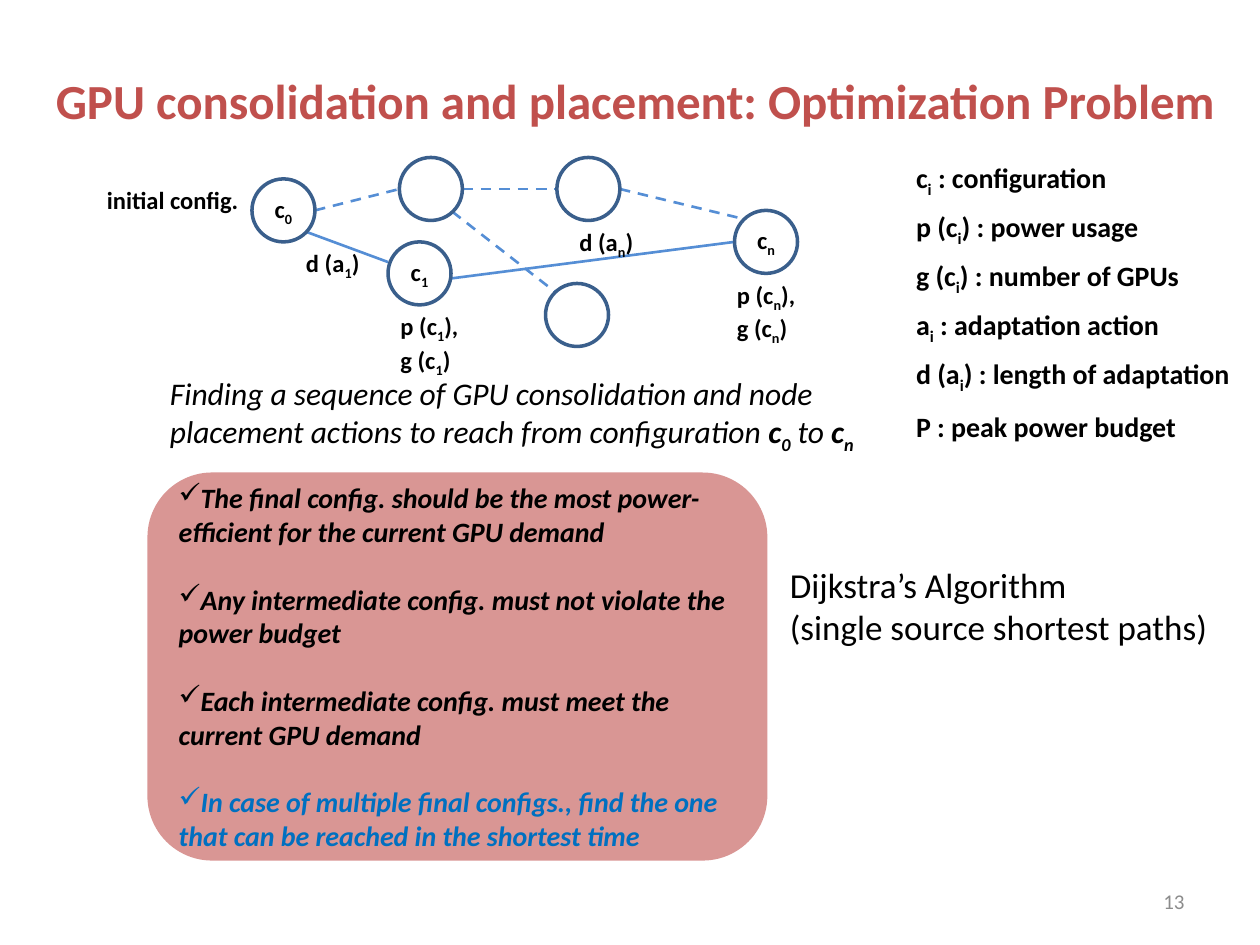
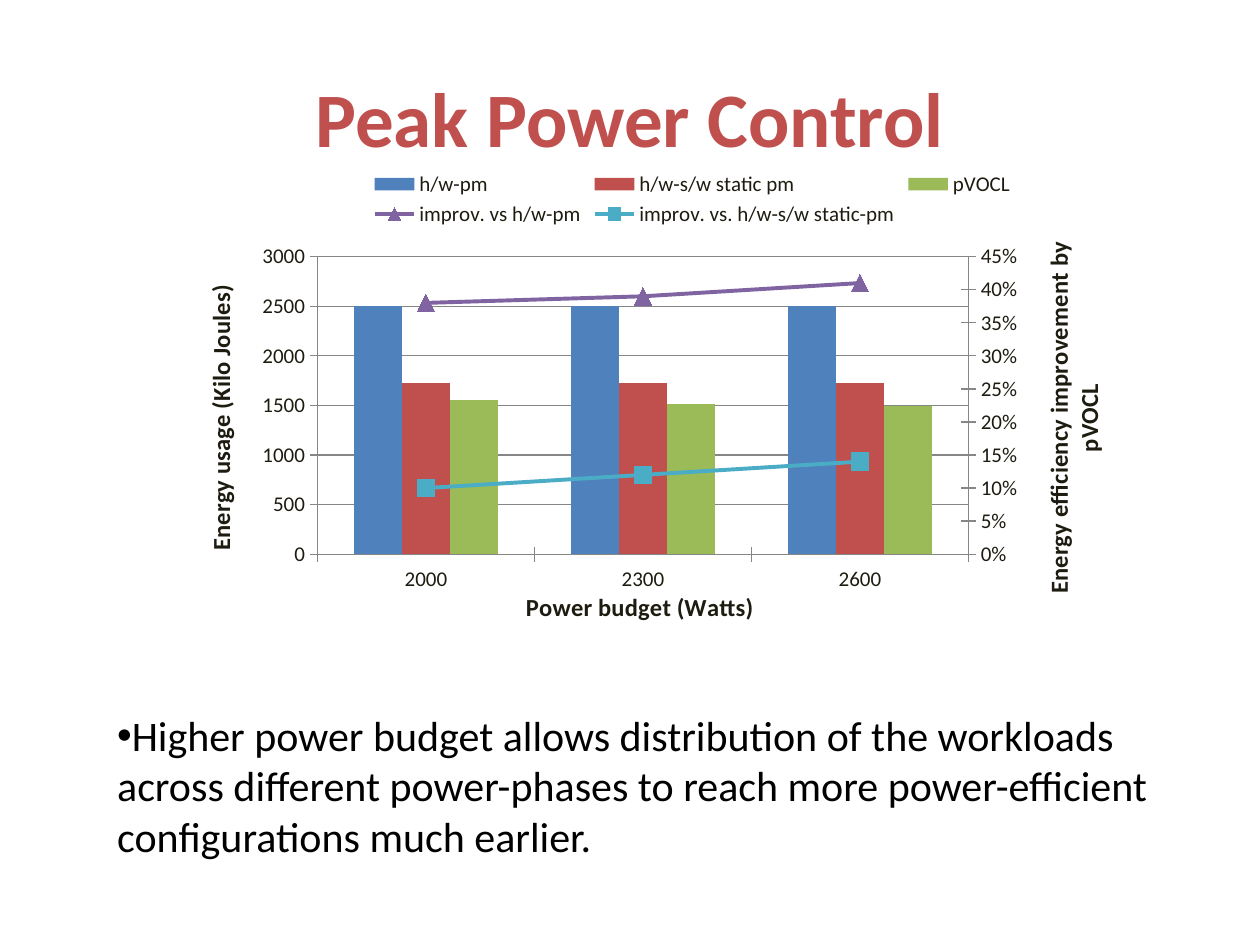
from copy import deepcopy
from dataclasses import dataclass

from lxml import etree
from pptx import Presentation
from pptx import util as u
from pptx.chart import axis as ax
from pptx.chart import data as cd
from pptx.dml.color import RGBColor
from pptx.enum import chart as ec
from pptx.enum import dml, shapes, text
from pptx.oxml import parse_xml
from pptx.oxml.ns import nsdecls, qn


# Theme
@dataclass(frozen=True)
class Theme:
    font: str = "Calibri"
    head: str = "C0504D"
    ink: str = "000000"
    ring: str = "3A5F8C"
    link: str = "558ED5"
    panel: str = "D99694"
    blue: str = "0070C0"
    gray: str = "8C8C8C"
    axis: str = "1E1C11"
    grid: str = "868686"
    tiny: int = 12
    small: int = 14
    mid: int = 16
    goal: int = 18
    note: int = 20
    body: int = 24


T = Theme()
MID, CENTER = text.MSO_ANCHOR.MIDDLE, text.PP_ALIGN.CENTER

# Content: "~" wraps a subscript, "*" wraps bold
TITLES = [
    ("GPU consolidation and placement: Optimization Problem", 28, (0.25, 0.42, 9.58, 0.75)),
    ("Peak Power Control", 44, (0.5, 0.3, 9, 1.25)),
]
NODES = [
    ("c~0~", 2, 1.42), ("", 3.17, 1.25), ("c~1~", 3.08, 1.92),
    ("", 4.33, 2.25), ("", 4.42, 1.25), ("c~n~", 5.83, 1.67),
]
DASHED = [  # start, end
    ((2.5, 1.67), (3.17, 1.5)), ((3.67, 1.5), (4.42, 1.5)),
    ((4.92, 1.5), (5.91, 1.74)), ((3.59, 1.68), (4.41, 2.32)),
]
SOLID = [((2.43, 1.84), (3.08, 2.08)), ((3.58, 2.21), (5.83, 1.92))]
LABELS = [
    (["initial config."], (0.75, 1.42, 1.33, 0.34)),
    (["d (a~1~)"], (2.33, 1.92, 0.75, 0.34)),
    (["d (a~n~)"], (4.5, 1.75, 0.75, 0.34)),
    (["p (c~1~),", "g (c~1~)"], (3.08, 2.42, 0.83, 0.57)),
    (["p (c~n~),", "g (c~n~)"], (5.75, 2.17, 0.83, 0.57)),
]
TERMS = [
    "c~i~ : configuration", "p (c~i~) : power usage", "g (c~i~) : number of GPUs",
    "a~i~ : adaptation action", "d (a~i~) : length of adaptation", "P : peak power budget",
]
GOAL = ("Finding a sequence of GPU consolidation and node placement actions "
        "to reach from configuration *c~0~* to *c~n~*")
RULES = [
    "The final config. should be the most power-efficient for the current GPU demand",
    "Any intermediate config. must not violate the power budget",
    "Each intermediate config. must meet the current GPU demand",
    "In case of multiple final configs., find the one that can be reached in the shortest time",
]
METHOD = ["Dijkstra’s Algorithm", "(single source shortest paths)"]
FINDING = ("Higher power budget allows distribution of the workloads across different "
           "power-phases to reach more power-efficient configurations much earlier.")
BUDGETS = ["2000", "2300", "2600"]
BARS = [
    ("h/w-pm", (2500, 2500, 2500), "4F81BD"),
    ("h/w-s/w static pm", (1730, 1730, 1730), "C0504D"),
    ("pVOCL", (1550, 1510, 1490), "9BBB59"),
]
GAINS = [
    ("improv. vs h/w-pm", (0.38, 0.39, 0.41), "8064A2", ec.XL_MARKER_STYLE.TRIANGLE),
    ("improv. vs. h/w-s/w static-pm", (0.1, 0.12, 0.14), "4BACC6", ec.XL_MARKER_STYLE.SQUARE),
]
AXES = {"cat": "Power budget (Watts)", "left": "Energy usage (Kilo Joules)",
        "right": "Energy efficiency improvement by pVOCL"}
FRAME = {"x": 0.12, "y": 0.21, "w": 0.66, "h": 0.63}


# Helpers
def rgb(tone):
    return RGBColor.from_string(tone)


def apply(obj, **fmt):
    for key, val in fmt.items():
        setattr(obj, key, val)


def inch(*nums):
    return [u.Inches(n) for n in nums]


def place(shape, spot):
    apply(shape, **dict(zip(("left", "top", "width", "height"), inch(*spot))))


def ink(font, size, tone=T.ink, **fmt):
    apply(font, name=T.font, size=u.Pt(size), **fmt)
    font.color.rgb = rgb(tone)


def paint(fill, tone):
    fill.solid()
    fill.fore_color.rgb = rgb(tone)


def stroke(line, tone, width):
    line.color.rgb = rgb(tone)
    line.width = u.Pt(width)


def write(para, line, size, tone=T.ink, bold=False, italic=False):
    for i, span in enumerate(line.split("*")):
        for j, part in enumerate(span.split("~")):
            if part:
                run = para.add_run()
                run.text = part
                ink(run.font, size, tone, bold=bold or i % 2 == 1, italic=italic)
                if j % 2:
                    run.font._element.set("baseline", "-25000")


def fill(shape, lines, size, bullet=None, gap=0, lead=None, tones=None,
         align=text.PP_ALIGN.LEFT, anchor=text.MSO_ANCHOR.TOP, **fmt):
    frame = shape.text_frame
    apply(frame, word_wrap=True, auto_size=text.MSO_AUTO_SIZE.NONE, vertical_anchor=anchor)
    for i, line in enumerate(lines):
        para = frame.add_paragraph() if i else frame.paragraphs[0]
        props = para._p.get_or_add_pPr()
        props.set("marL", "0")
        props.set("indent", "0")
        mark = etree.SubElement(props, qn("a:buChar" if bullet else "a:buNone"))
        if bullet:
            mark.set("char", bullet)
        apply(para, alignment=align, space_before=u.Pt(gap if i else 0), space_after=u.Pt(0),
              line_spacing=u.Pt(lead) if lead else 1.0)
        write(para, line, size, tones[i] if tones else T.ink, **fmt)


def box(slide, lines, spot, size, **fmt):
    fill(slide.shapes.add_textbox(*inch(*spot)), lines, size, **fmt)


def start(deck, title):
    line, size, spot = title
    slide = deck.slides.add_slide(deck.slide_layouts[1])
    place(slide.shapes.title, spot)
    fill(slide.shapes.title, [line], size, tones=[T.head], bold=True, align=CENTER, anchor=MID)
    return slide, slide.placeholders[1]


# Slide 1: graph of configurations
def draw_link(slide, head, tail, dash):
    link = slide.shapes.add_connector(shapes.MSO_CONNECTOR.STRAIGHT, *inch(*head, *tail))
    stroke(link.line, T.link, 1.5)
    link.line.dash_style = dash
    etree.SubElement(link._element.spPr, qn("a:effectLst"))


def draw_node(slide, name, left, top):
    ring = slide.shapes.add_shape(shapes.MSO_SHAPE.OVAL, *inch(left, top, 0.5, 0.5))
    ring.shadow.inherit = False
    ring.fill.background()
    stroke(ring.line, T.ring, 2)
    if name:
        apply(ring.text_frame, margin_left=0, margin_right=0, margin_top=0, margin_bottom=0)
        fill(ring, [name], T.small, bold=True, align=CENTER, anchor=MID)


def build_graph(deck):
    slide, body = start(deck, TITLES[0])
    for links, dash in ((DASHED, dml.MSO_LINE.DASH), (SOLID, dml.MSO_LINE.SOLID)):
        for head, tail in links:
            draw_link(slide, head, tail, dash)
    for node in NODES:
        draw_node(slide, *node)
    for lines, spot in LABELS:
        box(slide, lines, spot, T.small, bold=True)
    place(body, (7.17, 1.33, 2.83, 2.53))
    fill(body, TERMS, T.mid, lead=14, gap=14, bold=True)
    box(slide, [GOAL], (1.25, 2.92, 5.75, 0.75), T.goal, italic=True)

    # Rules panel
    panel = slide.shapes.add_shape(shapes.MSO_SHAPE.FLOWCHART_ALTERNATE_PROCESS,
                                   *inch(1.17, 3.75, 4.92, 3.08))
    panel.shadow.inherit = False
    paint(panel.fill, T.panel)
    panel.line.fill.background()
    fill(panel, RULES, T.mid, bullet="✓", gap=19.5, tones=[T.ink] * 3 + [T.blue],
         bold=True, italic=True, anchor=MID)
    box(slide, METHOD, (6.17, 4.42, 3.58, 0.78), T.note)
    box(slide, ["13"], (7.17, 6.95, 2.33, 0.4), T.tiny, tones=[T.gray],
        align=text.PP_ALIGN.RIGHT, anchor=MID)


# Slide 2: bars with lines on a second axis
def dress(axis, name):
    axis.axis_title.text_frame.text = name
    ink(axis.axis_title.text_frame.paragraphs[0].runs[0].font, T.small, T.axis, bold=True)
    axis.major_tick_mark = ec.XL_TICK_MARK.CROSS
    axis.format.line.color.rgb = rgb(T.grid)


def drop(part, tag):
    for item in part.findall(qn(tag)):
        part.remove(item)


def split_gains(plot):
    bars, cat, val = (plot.find(qn("c:" + tag)) for tag in ("barChart", "catAx", "valAx"))
    lines = parse_xml(f'<c:lineChart {nsdecls("c")}><c:grouping val="standard"/>'
                      '<c:varyColors val="0"/><c:marker val="1"/>'
                      '<c:axId val="501"/><c:axId val="502"/></c:lineChart>')
    for ser in bars.findall(qn("c:ser"))[len(BARS):]:
        drop(ser, "c:invertIfNegative")
        lines.find(qn("c:marker")).addprevious(ser)
    bars.addnext(lines)
    right, base = deepcopy(val), deepcopy(cat)
    val.addnext(right)
    right.addnext(base)
    drop(base, "c:title")
    for axis, marks in ((right, {"axId": "502", "crossAx": "501", "axPos": "r", "crosses": "max"}),
                        (base, {"axId": "501", "crossAx": "502", "delete": "1"})):
        for tag, mark in marks.items():
            axis.find(qn("c:" + tag)).set("val", mark)
    return ax.ValueAxis(right)


def build_chart(deck):
    slide, body = start(deck, TITLES[1])
    data = cd.CategoryChartData()
    data.categories = BUDGETS
    for name, vals, *_ in BARS + GAINS:
        data.add_series(name, vals)
    chart = slide.shapes.add_chart(ec.XL_CHART_TYPE.COLUMN_CLUSTERED,
                                   *inch(1.58, 1.25, 7.83, 3.75), data).chart
    ink(chart.font, T.tiny, T.axis)
    apply(chart, has_title=False, has_legend=True)
    apply(chart.legend, position=ec.XL_LEGEND_POSITION.TOP, include_in_layout=False)

    # Axes
    left = chart.value_axis
    dress(chart.category_axis, AXES["cat"])
    dress(left, AXES["left"])
    left.major_gridlines.format.line.color.rgb = rgb(T.grid)
    apply(left, minimum_scale=0, maximum_scale=3000, major_unit=500)
    plot = chart.element.find(".//" + qn("c:plotArea"))
    right = split_gains(plot)
    dress(right, AXES["right"])
    apply(right, has_major_gridlines=False, maximum_scale=0.45, major_unit=0.05)
    apply(right.tick_labels, number_format="0%", number_format_is_linked=False)
    for axis in plot.findall(qn("c:valAx")):
        turn = axis.find(qn("c:title")).find(".//" + qn("a:bodyPr"))
        turn.set("rot", "-5400000")
        turn.set("vert", "horz")

    # Series
    apply(chart.plots[0], vary_by_categories=False, gap_width=150, overlap=0)
    for ser, (_, _, tone) in zip(chart.plots[0].series, BARS):
        paint(ser.format.fill, tone)
    for ser, (_, _, tone, mark) in zip(chart.plots[1].series, GAINS):
        ser.smooth = False
        stroke(ser.format.line, tone, 2.25)
        apply(ser.marker, style=mark, size=10)
        paint(ser.marker.format.fill, tone)
        ser.marker.format.line.color.rgb = rgb(tone)

    # Plot frame
    drop(plot, "c:layout")
    sizes = "".join(f'<c:{key} val="{val}"/>' for key, val in FRAME.items())
    plot.insert(0, parse_xml(
        f'<c:layout {nsdecls("c")}><c:manualLayout><c:layoutTarget val="inner"/>'
        f'<c:xMode val="edge"/><c:yMode val="edge"/>{sizes}</c:manualLayout></c:layout>'))
    place(body, (0.83, 5.58, 8.83, 1.31))
    fill(body, [FINDING], T.body, bullet="•")


def main():
    deck = Presentation()
    apply(deck, slide_width=u.Inches(10), slide_height=u.Inches(7.5))
    build_graph(deck)
    build_chart(deck)
    deck.save("out.pptx")


if __name__ == "__main__":
    main()
